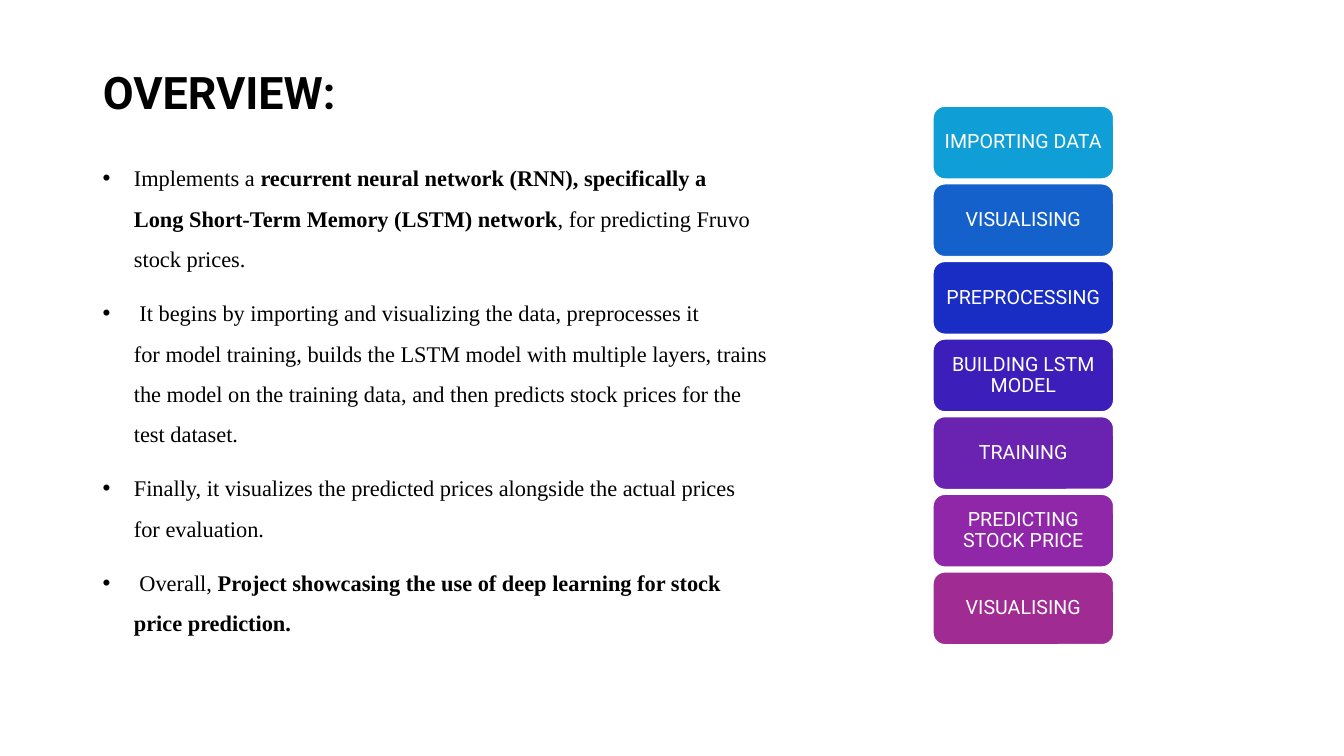
from lxml import etree
from pptx import Presentation
from pptx.dml.color import RGBColor
from pptx.enum.shapes import MSO_SHAPE
from pptx.enum.text import MSO_ANCHOR, MSO_AUTO_SIZE, PP_ALIGN
from pptx.oxml.ns import qn
from pptx.util import Inches, Pt

ROUNDED = MSO_SHAPE.ROUNDED_RECTANGLE
MIDDLE, BOTTOM = MSO_ANCHOR.MIDDLE, MSO_ANCHOR.BOTTOM
LEFT, CENTER = PP_ALIGN.LEFT, PP_ALIGN.CENTER
NO_FIT = MSO_AUTO_SIZE.NONE

HEADING_FONT, BODY_FONT = "Roboto", "Times New Roman"
BLACK, WHITE = "000000", "FFFFFF"
TIE, HARD_SPACE = "~", chr(160)

TITLE = "OVERVIEW:"
BULLETS = [
    [("Implements a ", False),
     ("recurrent neural network (RNN), specifically a Long~Short-Term Memory (LSTM) network", True),
     (", for predicting Fruvo stock~prices.", False)],
    [("~It begins by importing and visualizing the data, preprocesses it for~model training, "
      "builds the LSTM model with multiple layers, trains the~model on the training data, "
      "and then predicts stock prices for the test~dataset.~", False)],
    [("Finally, it visualizes the predicted prices alongside the actual prices for~evaluation.", False)],
    [("~Overall,~", False),
     ("Project showcasing the use of deep learning for stock price~prediction.", True)],
]
STEPS = [
    ("IMPORTING DATA", "0F9ED5"),
    ("VISUALISING", "1461CC"),
    ("PREPROCESSING", "192CC3"),
    ("BUILDING LSTM MODEL", "3C1EBA"),
    ("TRAINING", "6A22B1"),
    ("PREDICTING STOCK PRICE", "8F27A8"),
    ("VISUALISING", "A02B93"),
]

TEXT_LEFT, TEXT_WIDTH = 0.92, 7.03
STEP_LEFT, STEP_TOP, STEP_WIDTH, STEP_HEIGHT, STEP_PITCH = 9.25, 1.05, 1.8, 0.73, 0.77
INDENT = Inches(0.31)


def color(value):
    return RGBColor.from_string(value)


def style(span, font, size, value, bold=False):
    span.font.name = font
    span.font.size = Pt(size)
    span.font.bold = bold
    span.font.color.rgb = color(value)


def place(shape, left, top, width, height):
    shape.left, shape.top = Inches(left), Inches(top)
    shape.width, shape.height = Inches(width), Inches(height)


def add_title(page):
    title = page.shapes.title
    place(title, TEXT_LEFT, 0.5, TEXT_WIDTH, 0.73)
    frame = title.text_frame
    frame.text = TITLE
    frame.auto_size = NO_FIT
    frame.vertical_anchor = BOTTOM
    para = frame.paragraphs[0]
    para.alignment = LEFT
    para.line_spacing = 0.9
    style(para.runs[0], HEADING_FONT, 32, BLACK, True)


def add_bullets(page):
    box = page.shapes.add_textbox(Inches(TEXT_LEFT), Inches(1.45), Inches(TEXT_WIDTH), Inches(4.96))
    frame = box.text_frame
    frame.word_wrap = True
    for index, spans in enumerate(BULLETS):
        para = frame.add_paragraph() if index else frame.paragraphs[0]
        para.line_spacing = 1.5
        para.space_before = Pt(10)
        for text, bold in spans:
            span = para.add_run()
            span.text = text.replace(TIE, HARD_SPACE)
            style(span, BODY_FONT, 16, BLACK, bold)
        properties = para._p.get_or_add_pPr()
        properties.set("marL", str(INDENT))
        properties.set("indent", str(-INDENT))
        etree.SubElement(properties, qn("a:buFont"), typeface="Arial")
        etree.SubElement(properties, qn("a:buChar"), char="•")


def add_step(page, index, label, fill):
    box = page.shapes.add_shape(ROUNDED, 0, 0, 0, 0)
    place(box, STEP_LEFT, STEP_TOP + index * STEP_PITCH, STEP_WIDTH, STEP_HEIGHT)
    box.shadow.inherit = False
    box.fill.solid()
    box.fill.fore_color.rgb = color(fill)
    box.line.color.rgb = color(WHITE)
    box.line.width = Pt(1.5)
    frame = box.text_frame
    frame.text = label
    frame.word_wrap = True
    frame.vertical_anchor = MIDDLE
    frame.margin_left = frame.margin_right = Inches(0.06)
    frame.margin_top = frame.margin_bottom = Inches(0.03)
    para = frame.paragraphs[0]
    para.alignment = CENTER
    para.line_spacing = 0.9
    style(para.runs[0], HEADING_FONT, 14, WHITE)


def main():
    deck = Presentation()
    deck.slide_width, deck.slide_height = Inches(13.33), Inches(7.5)
    page = deck.slides.add_slide(deck.slide_layouts[5])
    add_title(page)
    add_bullets(page)
    for index, (label, fill) in enumerate(STEPS):
        add_step(page, index, label, fill)
    deck.save("out.pptx")


if __name__ == "__main__":
    main()
